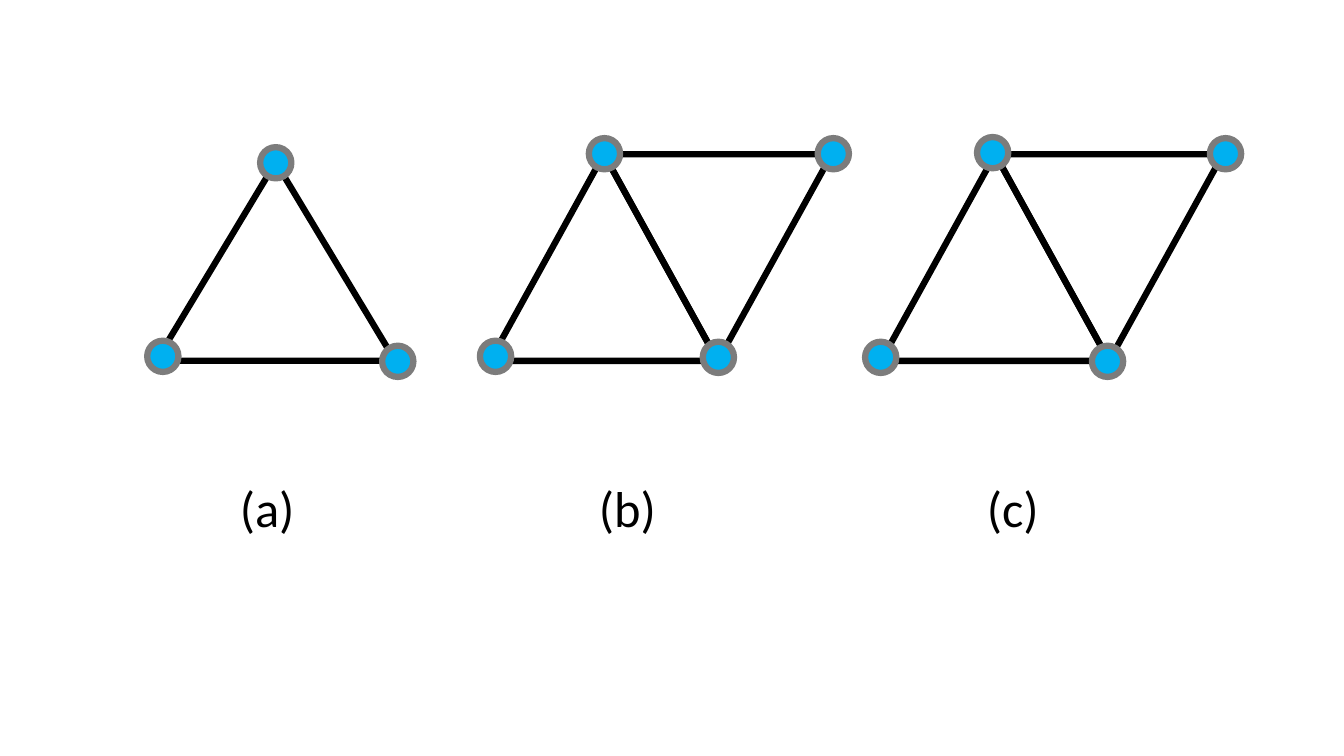
import pptx
import pptx.util
import pptx.dml.color
import pptx.enum.shapes
import pptx.enum.text

Inches = pptx.util.Inches
Pt = pptx.util.Pt
RGBColor = pptx.dml.color.RGBColor
Kind = pptx.enum.shapes.MSO_SHAPE

BLACK = RGBColor(0x00, 0x00, 0x00)
BLUE = RGBColor(0x00, 0xB0, 0xF0)
GRAY = RGBColor(0x7C, 0x7C, 0x7C)

GRAPHS = [
    {"label": "(a)", "left": 2.28,
     "faces": [(1.55, 1.61, 2.37, 1.97, 0)],
     "nodes": [(1.46, 3.38), (2.58, 1.46), (3.79, 3.43)]},
    {"label": "(b)", "left": 5.84,
     "faces": [(4.86, 1.53, 2.26, 2.05, 0), (5.99, 1.53, 2.26, 2.05, 180)],
     "nodes": [(4.76, 3.38), (5.84, 1.37), (8.11, 1.37), (6.97, 3.39)]},
    {"label": "(c)", "left": 9.69,
     "faces": [(8.74, 1.53, 2.26, 2.05, 0), (9.87, 1.53, 2.26, 2.05, 180)],
     "nodes": [(8.58, 3.39), (9.69, 1.36), (12, 1.37), (10.83, 3.43)]},
]
NODE = 0.31
LABEL = {"top": 4.68, "width": 0.91, "height": 0.71}
FONT = {"name": "Calibri", "size": Pt(36)}
FRAME = {"word_wrap": True,
         "auto_size": pptx.enum.text.MSO_AUTO_SIZE.SHAPE_TO_FIT_TEXT}


def apply(target, values):
    for name, value in values.items():
        setattr(target, name, value)


def draw(slide, kind, box, edge, fill=None, turn=0):
    shape = slide.shapes.add_shape(kind, *map(Inches, box))
    shape.shadow.inherit = False
    shape.rotation = turn
    shape.line.color.rgb = edge
    shape.line.width = Pt(4.5)
    if fill is None:
        shape.fill.background()
    else:
        shape.fill.solid()
        shape.fill.fore_color.rgb = fill


def write(slide, text, left):
    box = slide.shapes.add_textbox(Inches(left), *map(Inches, LABEL.values()))
    apply(box.text_frame, FRAME)
    run = box.text_frame.paragraphs[0].add_run()
    run.text = text
    apply(run.font, FONT)
    run.font.color.rgb = BLACK


def main():
    deck = pptx.Presentation()
    apply(deck, {"slide_width": Inches(13.33), "slide_height": Inches(7.5)})
    slide = deck.slides.add_slide(deck.slide_layouts[6])
    for graph in GRAPHS:
        for *box, turn in graph["faces"]:
            draw(slide, Kind.ISOSCELES_TRIANGLE, box, BLACK, turn=turn)
        for left, top in graph["nodes"]:
            draw(slide, Kind.OVAL, (left, top, NODE, NODE), GRAY, BLUE)
        write(slide, graph["label"], graph["left"])
    deck.save("out.pptx")


if __name__ == "__main__":
    main()
